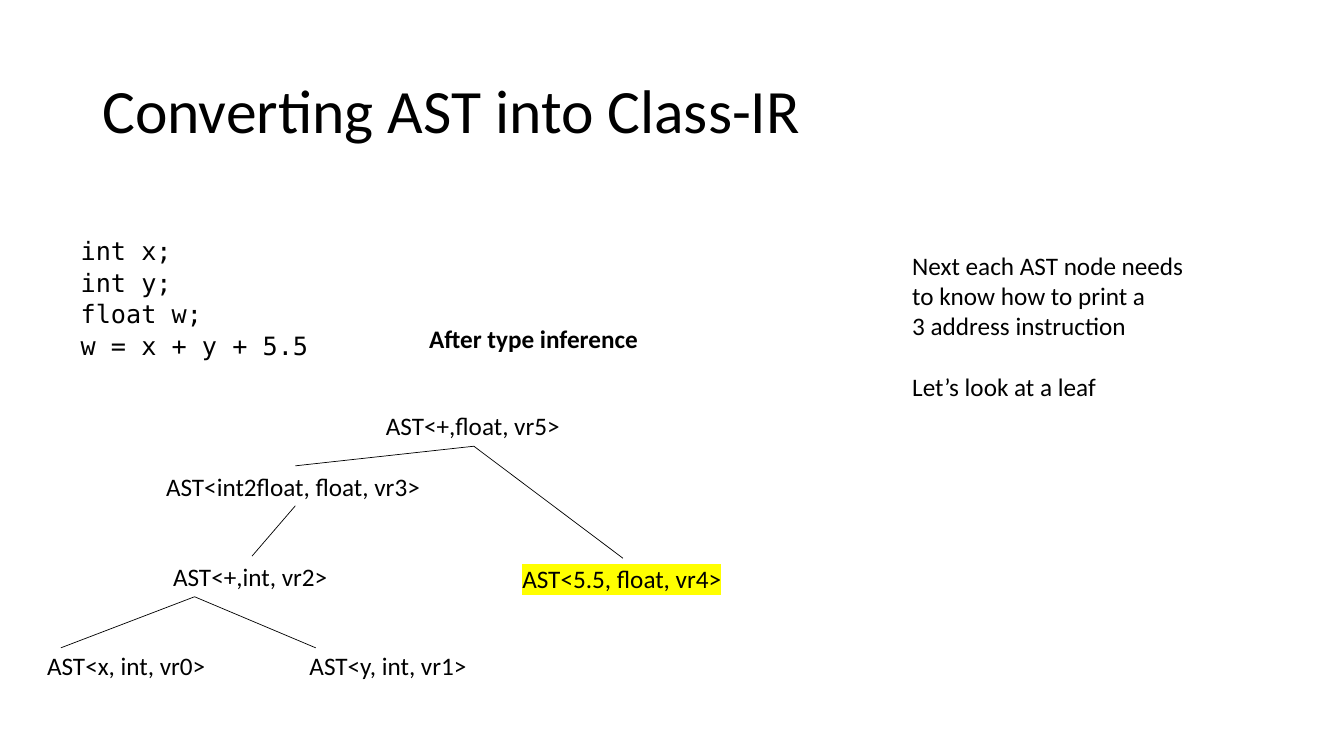
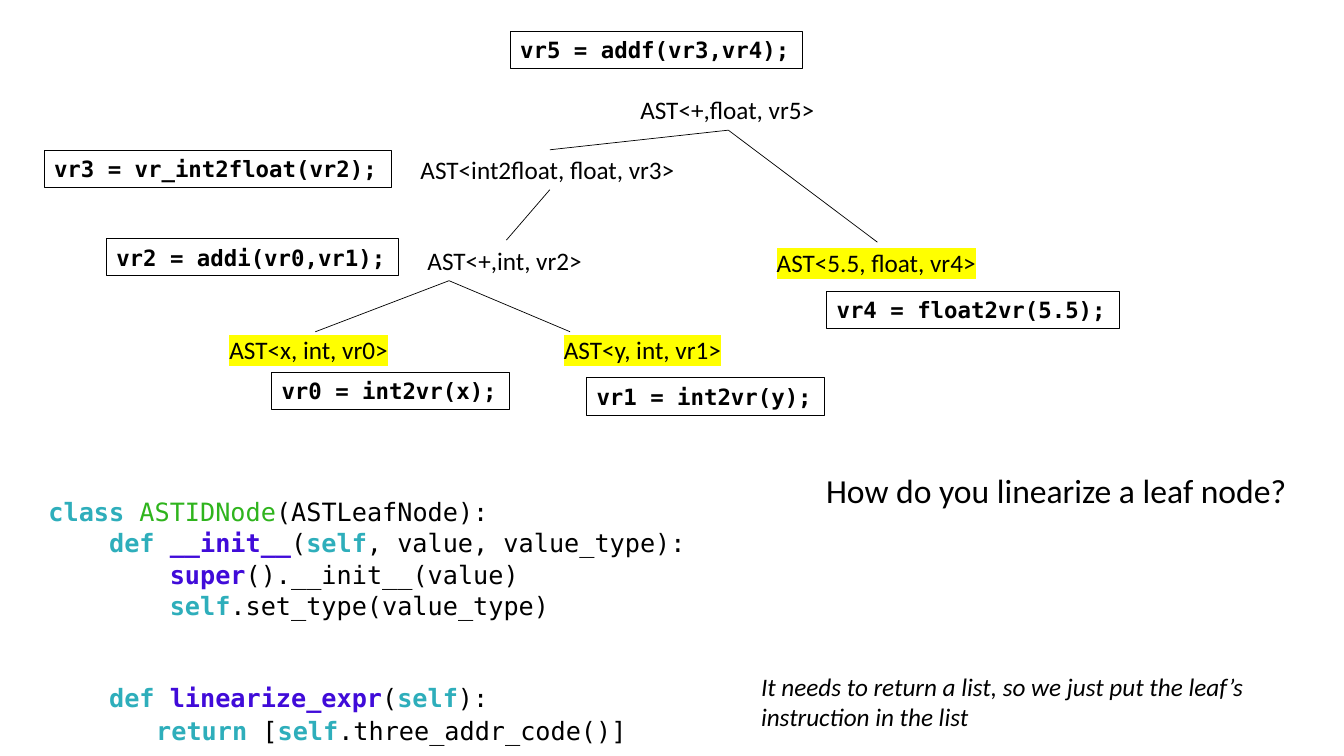
from lxml import etree
from pptx import Presentation
from pptx.dml.color import RGBColor
from pptx.enum.shapes import MSO_CONNECTOR, MSO_SHAPE
from pptx.enum.text import MSO_ANCHOR, MSO_AUTO_SIZE, PP_ALIGN
from pptx.oxml.ns import qn
from pptx.util import Pt

STRAIGHT = MSO_CONNECTOR.STRAIGHT
RECTANGLE = MSO_SHAPE.RECTANGLE
TOP, MIDDLE = MSO_ANCHOR.TOP, MSO_ANCHOR.MIDDLE
GROW, FIXED = MSO_AUTO_SIZE.SHAPE_TO_FIT_TEXT, MSO_AUTO_SIZE.NONE
LEFT = PP_ALIGN.LEFT

BODY_FONT = "Calibri"
CODE_FONT = "DejaVu Sans Mono"
BLACK = "000000"
YELLOW = "FFFF00"
CODE_SPACING = 1.04
LABEL_HEIGHT = 29

# Code styles: colour, bold
KEYWORD = ("2EAEBB", True)
NAME = ("400BD9", True)
CLASS_NAME = ("2FB41D", False)

# Tree places are relative to the point where the root's branches start.
BRANCHES = [
    ((0, 0), (-127.5, 14)),
    ((0, 0), (106.5, 80)),
    ((-127.5, 42.5), (-158.5, 78.5)),
    ((-199.5, 107.5), (-295, 144)),
    ((-199.5, 107.5), (-113, 144)),
]
NODES = {
    "AST<+,float, vr5>": (-70, -29, 140),
    "AST<int2float, float, vr3>": (-227, 14, 198),
    "AST<+,int, vr2>": (-222, 78.5, 126),
    "AST<5.5, float, vr4>": (27.5, 80, 158),
    "AST<x, int, vr0>": (-312, 142, 129),
    "AST<y, int, vr1>": (-124.5, 142, 128),
}
X_LEAF = "AST<x, int, vr0>"
Y_LEAF = "AST<y, int, vr1>"
NUMBER_LEAF = "AST<5.5, float, vr4>"

INSTRUCTIONS = [
    ("vr5 = addf(vr3,vr4);", 364.5, 22.5, 209),
    ("vr3 = vr_int2float(vr2);", 31.5, 107.5, 248),
    ("vr2 = addi(vr0,vr1);", 76, 170.5, 209),
    ("vr4 = float2vr(5.5);", 590.5, 208, 209),
    ("vr0 = int2vr(x);", 194, 266, 170),
    ("vr1 = int2vr(y);", 419, 270, 170),
]

CLASS_CODE = [
    [("class ", *KEYWORD), ("ASTIDNode", *CLASS_NAME), "(ASTLeafNode):"],
    ["    ", ("def ", *KEYWORD), ("__init__", *NAME), "(", ("self", *KEYWORD),
     ", value, value_type):"],
    ["        ", ("super", *NAME), "().__init__(value)"],
    ["        ", ("self", *KEYWORD), ".set_type(value_type)"],
    ["    ", ("def ", *KEYWORD), ("linearize_expr", *NAME), "(",
     ("self", *KEYWORD), "):"],
]
RETURN_CODE = [[("return", *KEYWORD), " [", ("self", *KEYWORD),
                ".three_addr_code()]"]]


def rgb(value):
    return RGBColor.from_string(value)


def highlight_run(run, color):
    highlight = etree.Element(qn("a:highlight"))
    etree.SubElement(highlight, qn("a:srgbClr"), val=color)
    run.font._element.find(qn("a:solidFill")).addnext(highlight)


def write_text(shape, lines, size=18, font=BODY_FONT, bold=False, italic=False,
               highlight=None, wrap=False, anchor=TOP, fit=GROW,
               spacing=None, gaps=None):
    """Write lines of plain or (text, colour, bold) pieces; gaps maps a line to its space before."""
    frame = shape.text_frame
    frame.word_wrap = wrap
    frame.auto_size = fit
    frame.vertical_anchor = anchor
    for index, line in enumerate(lines):
        paragraph = frame.add_paragraph() if index else frame.paragraphs[0]
        paragraph.alignment = LEFT
        if spacing:
            paragraph.line_spacing = spacing
        if gaps and index in gaps:
            paragraph.space_before = Pt(gaps[index])
        for piece in [line] if isinstance(line, str) else line:
            text, color, heavy = (piece, BLACK, bold) if isinstance(piece, str) else piece
            run = paragraph.add_run()
            run.text = text
            run.font.name = font
            run.font.size = Pt(size)
            run.font.bold = heavy
            run.font.italic = italic
            run.font.color.rgb = rgb(color)
            if highlight:
                highlight_run(run, highlight)


def add_text(slide, lines, left, top, width, height, **text_format):
    box = slide.shapes.add_textbox(Pt(left), Pt(top), Pt(width), Pt(height))
    write_text(box, lines, **text_format)


def add_title(slide, title):
    add_text(slide, [title], 66, 29, 828, 104.5, size=44, wrap=True,
             anchor=MIDDLE, fit=FIXED, spacing=0.9)


def add_line(slide, start, end):
    line = slide.shapes.add_connector(STRAIGHT, *(Pt(value) for value in (*start, *end)))
    line.line.color.rgb = rgb(BLACK)
    line.line.width = Pt(0.5)
    etree.SubElement(line._element.spPr, qn("a:effectLst"))


def add_instruction(slide, code, left, top, width):
    box = slide.shapes.add_shape(RECTANGLE, Pt(left), Pt(top), Pt(width), Pt(26.6))
    box.shadow.inherit = False
    box.fill.background()
    box.line.color.rgb = rgb(BLACK)
    box.line.width = Pt(0.75)
    write_text(box, [code], size=16, font=CODE_FONT, bold=True)


def add_tree(slide, root_x, root_y, highlighted, x_leaf_shift=0):
    for start, end in BRANCHES:
        add_line(slide, (root_x + start[0], root_y + start[1]),
                 (root_x + end[0], root_y + end[1]))
    for label, (left, top, width) in NODES.items():
        shift = x_leaf_shift if label == X_LEAF else 0
        add_text(slide, [label], root_x + left + shift, root_y + top, width, LABEL_HEIGHT,
                 highlight=YELLOW if label in highlighted else None)


def build_conversion_slide(slide):
    add_title(slide, "Converting AST into Class-IR")
    add_text(slide, ["int x;", "int y;", "float w;", "w = x + y + 5.5"],
             50.5, 164, 177, 94.5, font=CODE_FONT, spacing=CODE_SPACING)
    add_text(slide, ["After type inference"], 299.5, 227.5, 165.5, LABEL_HEIGHT, bold=True)
    add_tree(slide, 338.5, 318.75, {NUMBER_LEAF})
    add_text(slide, ["Next each AST node needs", "to know how to print a",
                     "3 address instruction", "Let’s look at a leaf"],
             644.5, 175, 210, 116.5, gaps={3: 22})


def build_leaf_slide(slide):
    add_tree(slide, 520.25, 93, {X_LEAF, Y_LEAF, NUMBER_LEAF}, x_leaf_shift=-51.5)
    for instruction in INSTRUCTIONS:
        add_instruction(slide, *instruction)
    add_text(slide, ["How do you linearize a leaf node?"], 583, 332, 346.5, 36, size=24)
    add_text(slide, CLASS_CODE, 27.5, 350, 480, 160, font=CODE_FONT, wrap=True,
             spacing=CODE_SPACING, gaps={4: 43.5})
    add_text(slide, RETURN_CODE, 104.5, 507.5, 355, LABEL_HEIGHT, font=CODE_FONT)
    add_text(slide, ["It needs to return a list, so we just put the leaf’s instruction in the list"],
             536.5, 476, 367, 51, italic=True, wrap=True)


def main():
    presentation = Presentation()
    presentation.slide_width = Pt(960)
    presentation.slide_height = Pt(540)
    blank = presentation.slide_layouts[6]
    for build in (build_conversion_slide, build_leaf_slide):
        build(presentation.slides.add_slide(blank))
    presentation.save("out.pptx")


if __name__ == "__main__":
    main()
